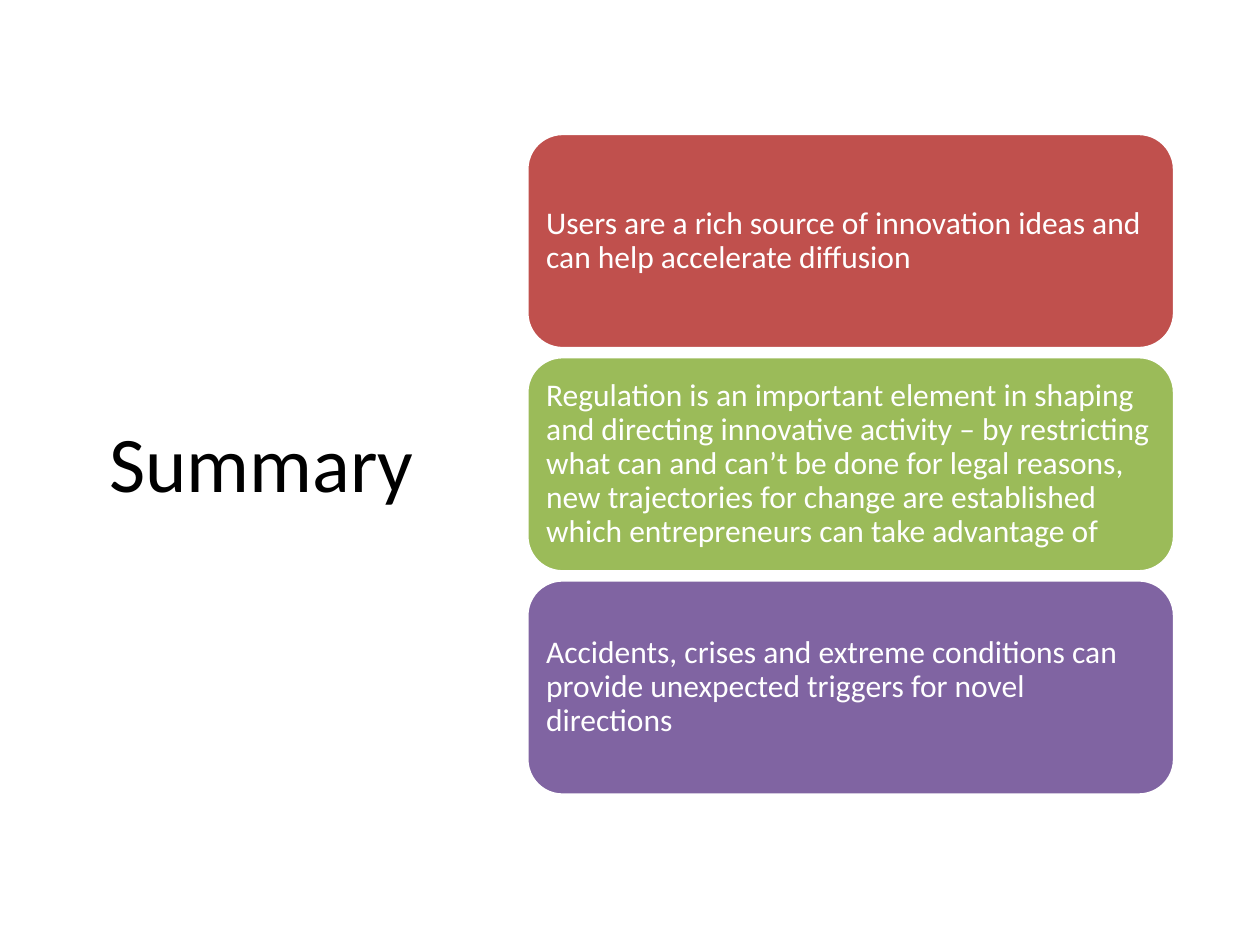
from dataclasses import dataclass

from pptx import Presentation
from pptx.dml.color import RGBColor
from pptx.enum.shapes import MSO_SHAPE
from pptx.enum.text import MSO_ANCHOR, PP_ALIGN
from pptx.slide import Slide
from pptx.util import Cm, Pt

ROUNDED = MSO_SHAPE.ROUNDED_RECTANGLE
MIDDLE = MSO_ANCHOR.MIDDLE
LEFT, CENTER = PP_ALIGN.LEFT, PP_ALIGN.CENTER
TITLE_ONLY = 5
FONT = "Calibri"
WHITE, BLACK = "FFFFFF", "000000"
CARD_LEFT, CARD_TOP = 10.62, 2.69
CARD_WIDTH, CARD_HEIGHT, CARD_PITCH = 13.06, 4.34, 4.5
CARD_INSET = 0.18


@dataclass(frozen=True)
class Card:
    text: str
    fill: str


CARDS = [
    Card("Users are a rich source of innovation ideas and can help accelerate diffusion", "C0504D"),
    Card(
        "Regulation is an important element in shaping and directing innovative activity – "
        "by restricting what can and can’t be done for legal reasons, new trajectories for "
        "change are established which entrepreneurs can take advantage of",
        "9BBB59",
    ),
    Card(
        "Accidents, crises and extreme conditions can provide unexpected triggers for novel directions",
        "8064A2",
    ),
]


def color(value: str) -> RGBColor:
    return RGBColor.from_string(value)


def write_text(shape, text: str, size: int, text_color: str, alignment: PP_ALIGN) -> None:
    frame = shape.text_frame
    frame.text = text
    frame.word_wrap = True
    frame.vertical_anchor = MIDDLE
    paragraph = frame.paragraphs[0]
    paragraph.alignment = alignment
    paragraph.font.name = FONT
    paragraph.font.size = Pt(size)
    paragraph.font.color.rgb = color(text_color)


def add_title(slide: Slide, text: str) -> None:
    title = slide.shapes.title
    title.left, title.top = Cm(1.75), Cm(1.55)
    title.width, title.height = Cm(7.04), Cm(15.47)
    write_text(title, text, 45, BLACK, CENTER)


def add_card(slide: Slide, card: Card, row: int) -> None:
    shape = slide.shapes.add_shape(
        ROUNDED,
        Cm(CARD_LEFT),
        Cm(CARD_TOP + row * CARD_PITCH),
        Cm(CARD_WIDTH),
        Cm(CARD_HEIGHT),
    )
    shape.shadow.inherit = False
    shape.fill.solid()
    shape.fill.fore_color.rgb = color(card.fill)
    shape.line.color.rgb = color(WHITE)
    shape.line.width = Pt(2)
    write_text(shape, card.text, 18, WHITE, LEFT)
    frame = shape.text_frame
    frame.margin_left = frame.margin_right = Cm(CARD_INSET)
    frame.margin_top = frame.margin_bottom = Cm(CARD_INSET)
    frame.paragraphs[0].line_spacing = 0.9


def main() -> None:
    """Build the summary slide with its title and stacked cards."""
    presentation = Presentation()
    presentation.slide_width, presentation.slide_height = Cm(25.4), Cm(19.05)
    slide = presentation.slides.add_slide(presentation.slide_layouts[TITLE_ONLY])
    add_title(slide, "Summary")
    for row, card in enumerate(CARDS):
        add_card(slide, card, row)
    presentation.save("out.pptx")


if __name__ == "__main__":
    main()
